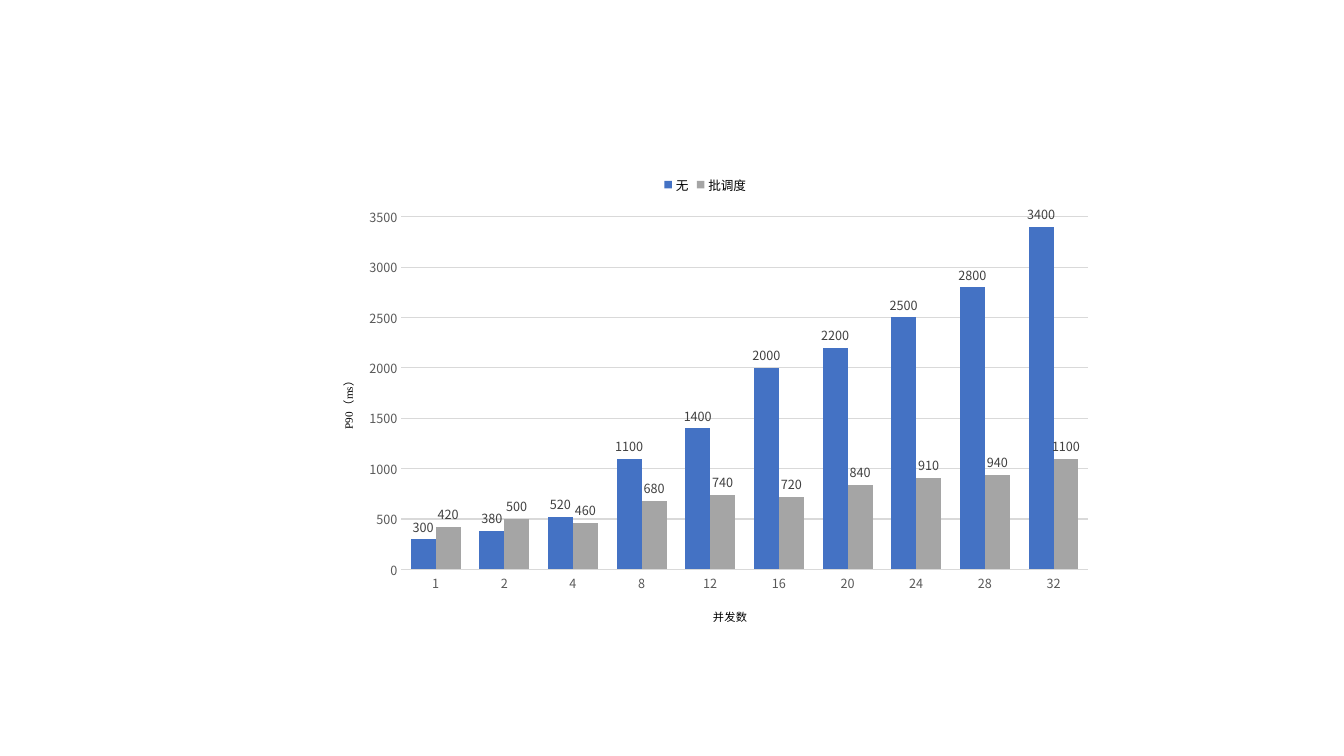
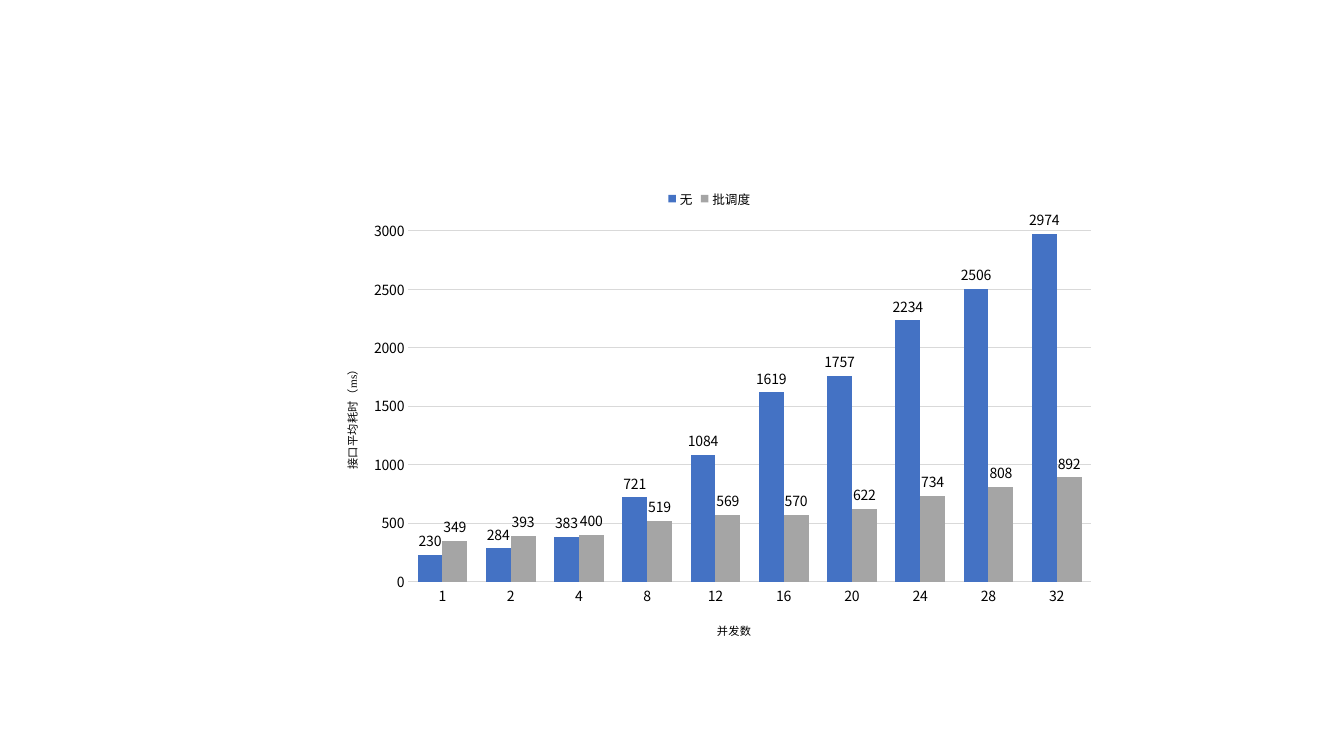
from lxml.etree import SubElement, Element
from pptx import Presentation
from pptx.chart.data import CategoryChartData
from pptx.dml.color import RGBColor
from pptx.enum.chart import XL_CHART_TYPE, XL_LABEL_POSITION, XL_LEGEND_POSITION, XL_TICK_MARK
from pptx.oxml.ns import qn
from pptx.util import Inches, Pt

SANS = "Noto Sans CJK SC"
SERIF = "Times New Roman"
BLACK, GRID = "000000", "D9D9D9"
FILLS = {"无": "4472C4", "批调度": "A5A5A5"}
LOADS = ["1", "2", "4", "8", "12", "16", "20", "24", "28", "32"]


def tint(color):
    return RGBColor.from_string(color)


def style(font, size, color=BLACK, face=SANS):
    font.size = Pt(size)
    font.bold = False
    font.name = face
    font.color.rgb = tint(color)


def rule(line):
    line.color.rgb = tint(GRID)
    line.width = Pt(0.75)


def place(part, index, box, spot, inner=False):
    for old in part.findall(qn("c:layout")):
        part.remove(old)
    layout = Element(qn("c:layout"))
    part.insert(index, layout)
    manual = SubElement(layout, qn("c:manualLayout"))
    if inner:
        SubElement(manual, qn("c:layoutTarget")).set("val", "inner")
    for key in "xy":
        SubElement(manual, qn(f"c:{key}Mode")).set("val", "edge")
    for key, length, full in zip("xywh", spot, box[2:] * 2):
        SubElement(manual, qn(f"c:{key}")).set("val", str(length / full))


def name_axis(axis, runs, box, spot, turn=0):
    title = axis.axis_title
    frame = title.text_frame
    for text, face in runs:
        run = frame.paragraphs[0].add_run()
        run.text = text
        style(run.font, 8, face=face)
    body = title.element.find(".//" + qn("a:bodyPr"))
    body.set("rot", str(turn * 60000))
    body.set("vert", "horz")
    place(title.element, 1, box, spot)


def add_bars(slide, box, plot, rows, top, size, tick, label, cat, val):
    data = CategoryChartData()
    data.categories = LOADS
    for name, row in zip(FILLS, rows):
        data.add_series(name, row)
    chart = slide.shapes.add_chart(
        XL_CHART_TYPE.COLUMN_CLUSTERED, *map(Inches, box), data).chart
    style(chart.font, 10)
    chart.has_title = False
    chart.has_legend = True
    chart.legend.position = XL_LEGEND_POSITION.TOP
    chart.legend.include_in_layout = False
    style(chart.legend.font, 9)

    bars = chart.plots[0]
    bars.gap_width = 75
    bars.overlap = 0
    bars.vary_by_categories = False
    for part in bars.series:
        part.format.fill.solid()
        part.format.fill.fore_color.rgb = tint(FILLS[part.name])
        tags = part.data_labels
        tags.show_value = True
        tags.position = XL_LABEL_POSITION.OUTSIDE_END
        style(tags.font, size, label)

    for axis in (chart.category_axis, chart.value_axis):
        axis.major_tick_mark = XL_TICK_MARK.NONE
        axis.minor_tick_mark = XL_TICK_MARK.NONE
        style(axis.tick_labels.font, size, tick)
    rule(chart.category_axis.format.line)
    scale = chart.value_axis
    scale.minimum_scale, scale.maximum_scale, scale.major_unit = 0, top, 500
    scale.format.line.fill.background()
    rule(scale.major_gridlines.format.line)
    name_axis(chart.category_axis, *cat[:1], box, cat[1])
    name_axis(scale, val[0], box, val[1], -90)

    root = chart.element if hasattr(chart, "element") else chart._chartSpace
    place(root.find(".//" + qn("c:plotArea")), 0, box, plot, True)
    for latin in root.findall(".//" + qn("a:latin")):
        east = Element(qn("a:ea"))
        east.set("typeface", SANS)
        latin.addnext(east)


def main():
    deck = Presentation()
    deck.slide_width, deck.slide_height = Inches(13.33), Inches(7.5)
    blank = deck.slide_layouts[6]
    add_bars(
        deck.slides.add_slide(blank), (3.06, 1.63, 7.87, 4.72), (0.92, 0.52, 6.81, 3.5),
        ([300, 380, 520, 1100, 1400, 2000, 2200, 2500, 2800, 3400],
         [420, 500, 460, 680, 740, 720, 840, 910, 940, 1100]),
        3500, 9, "595959", "404040",
        ([("并发数", SANS)], (3.99, 4.37)),
        ([("P90（ms）", SERIF)], (0.27, 2.07)))
    add_bars(
        deck.slides.add_slide(blank), (3.1, 1.77, 7.87, 4.73), (0.95, 0.52, 6.77, 3.48),
        ([230, 284, 383, 721, 1084, 1619, 1757, 2234, 2506, 2974],
         [349, 393, 400, 519, 569, 570, 622, 734, 808, 892]),
        3000, 10, BLACK, BLACK,
        ([("并发数", SERIF)], (3.99, 4.37)),
        ([("接口平均耗时（ms）", SERIF)], (0.27, 1.82)))
    deck.save("out.pptx")


if __name__ == "__main__":
    main()
